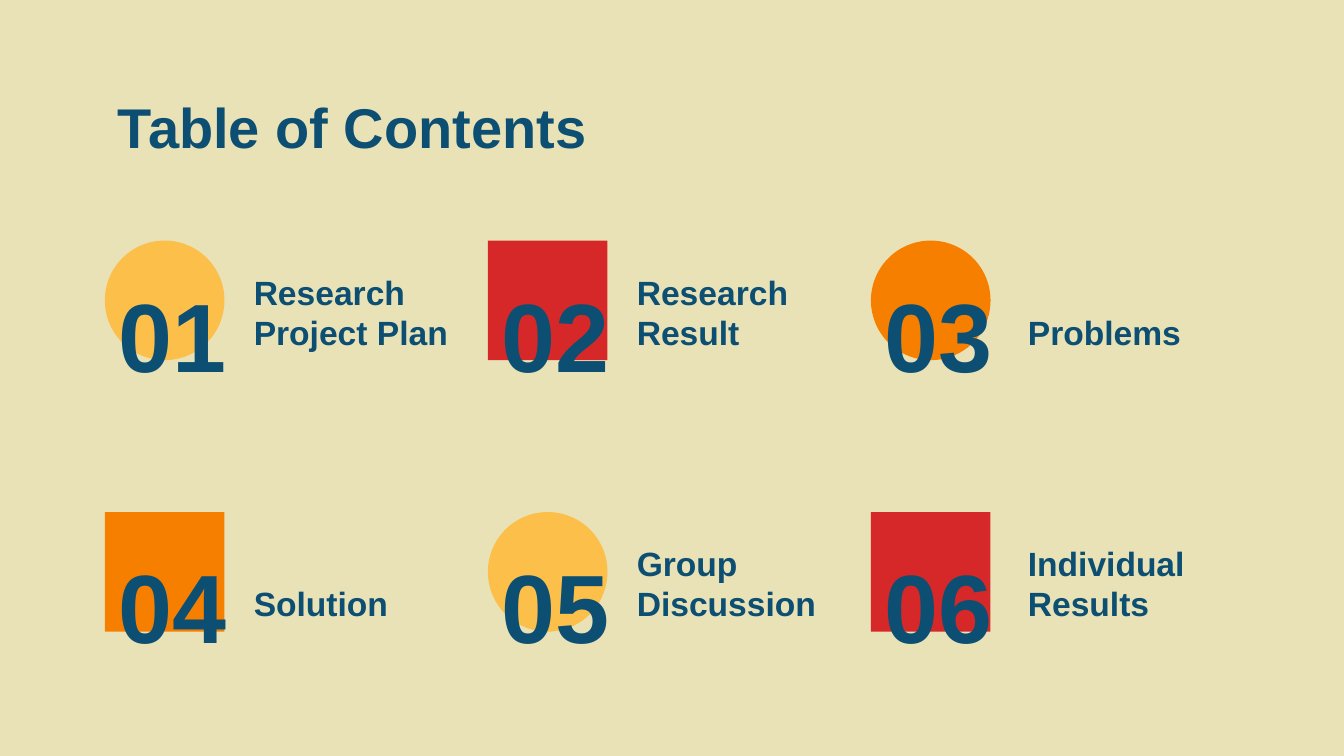
from pptx import Presentation
from pptx.dml.color import RGBColor
from pptx.enum.shapes import MSO_SHAPE
from pptx.enum.text import MSO_ANCHOR, PP_ALIGN
from pptx.util import Inches, Pt

OVAL, SQUARE = MSO_SHAPE.OVAL, MSO_SHAPE.RECTANGLE
TOP, MIDDLE, BOTTOM = MSO_ANCHOR.TOP, MSO_ANCHOR.MIDDLE, MSO_ANCHOR.BOTTOM
LEFT, CENTER = PP_ALIGN.LEFT, PP_ALIGN.CENTER

CREAM, NAVY = "EAE2B7", "0C4F72"
YELLOW, RED, ORANGE = "FCBF49", "D62828", "F77F00"

COLUMNS = 3
GRID_LEFT, GRID_TOP = 0.78, 1.79
COLUMN_STEP, ROW_STEP = 2.85, 2.02

# Label, badge shape, badge colour, label offset
ENTRIES = [
    ("Research Project Plan", OVAL, YELLOW, 1.01),
    ("Research Result", SQUARE, RED, 1.01),
    ("Problems", OVAL, ORANGE, 1.07),
    ("Solution", SQUARE, ORANGE, 1.01),
    ("Group Discussion", OVAL, YELLOW, 1.01),
    ("Individual Results", SQUARE, RED, 1.07),
]


def rgb(value):
    return RGBColor.from_string(value)


def add_text(s, text, left, top, width, height, size, anchor=TOP, align=LEFT):
    box = s.shapes.add_textbox(Inches(left), Inches(top), Inches(width), Inches(height))
    tf = box.text_frame
    tf.word_wrap = True
    tf.vertical_anchor = anchor
    tf.margin_left = tf.margin_right = tf.margin_top = tf.margin_bottom = Inches(0.1)
    p = tf.paragraphs[0]
    p.alignment = align
    r = p.add_run()
    r.text = text
    r.font.name = "Arial"
    r.font.size = Pt(size)
    r.font.bold = True
    r.font.color.rgb = rgb(NAVY)


def add_entry(s, left, top, number, label, shape, color, label_offset):
    badge = s.shapes.add_shape(shape, Inches(left), Inches(top), Inches(0.89), Inches(0.89))
    badge.shadow.inherit = False
    badge.fill.solid()
    badge.fill.fore_color.rgb = rgb(color)
    badge.line.fill.background()
    add_text(s, f"{number:02d}", left, top + 0.16, 1.01, 1.06, 52, MIDDLE, CENTER)
    add_text(s, label, left + label_offset, top + 0.45, 1.84, 0.48, 18, BOTTOM)


def add_contents_slide(prs):
    s = prs.slides.add_slide(prs.slide_layouts[6])
    s.background.fill.solid()
    s.background.fill.fore_color.rgb = rgb(CREAM)
    add_text(s, "Table of Contents", GRID_LEFT, 0.59, 8.44, 0.63, 30)
    for i, entry in enumerate(ENTRIES):
        row, column = divmod(i, COLUMNS)
        add_entry(s, GRID_LEFT + column * COLUMN_STEP, GRID_TOP + row * ROW_STEP, i + 1, *entry)


def main():
    prs = Presentation()
    prs.slide_width = Inches(10)
    prs.slide_height = prs.slide_width * 9 // 16
    add_contents_slide(prs)
    prs.save("out.pptx")


if __name__ == "__main__":
    main()
